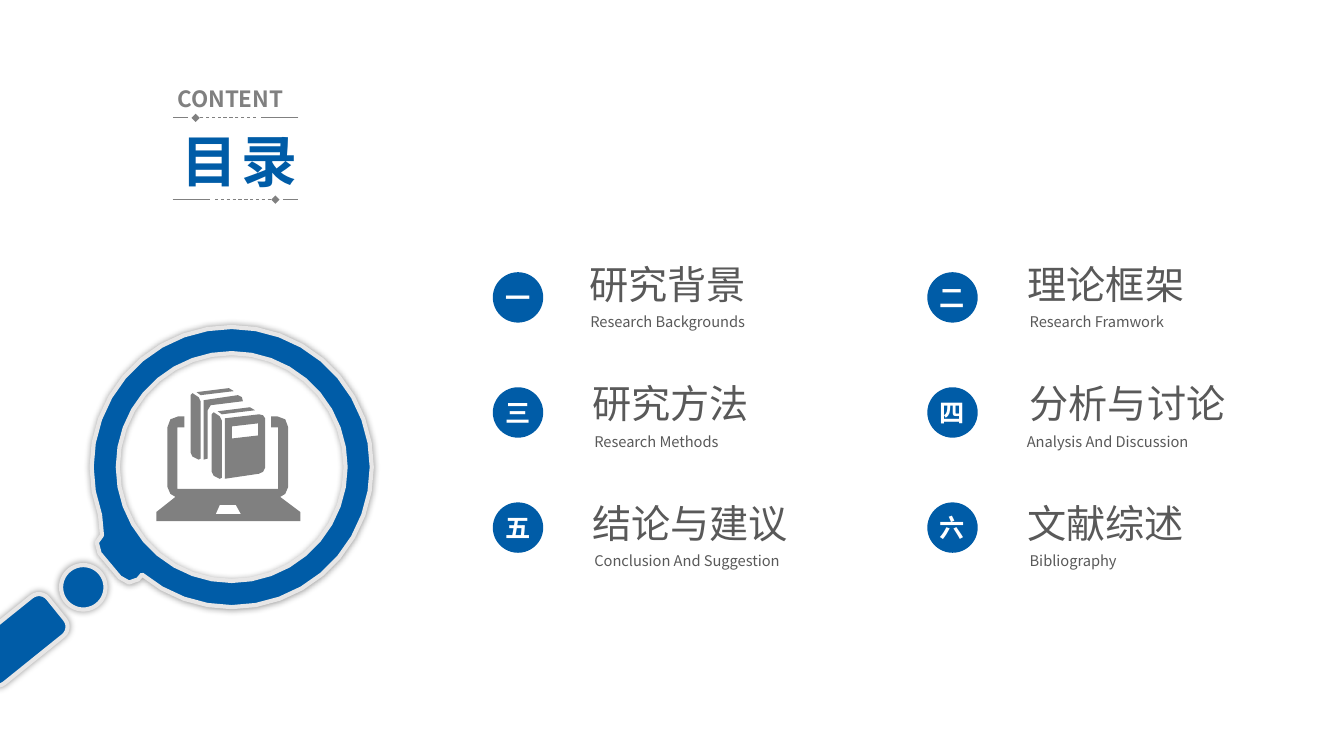
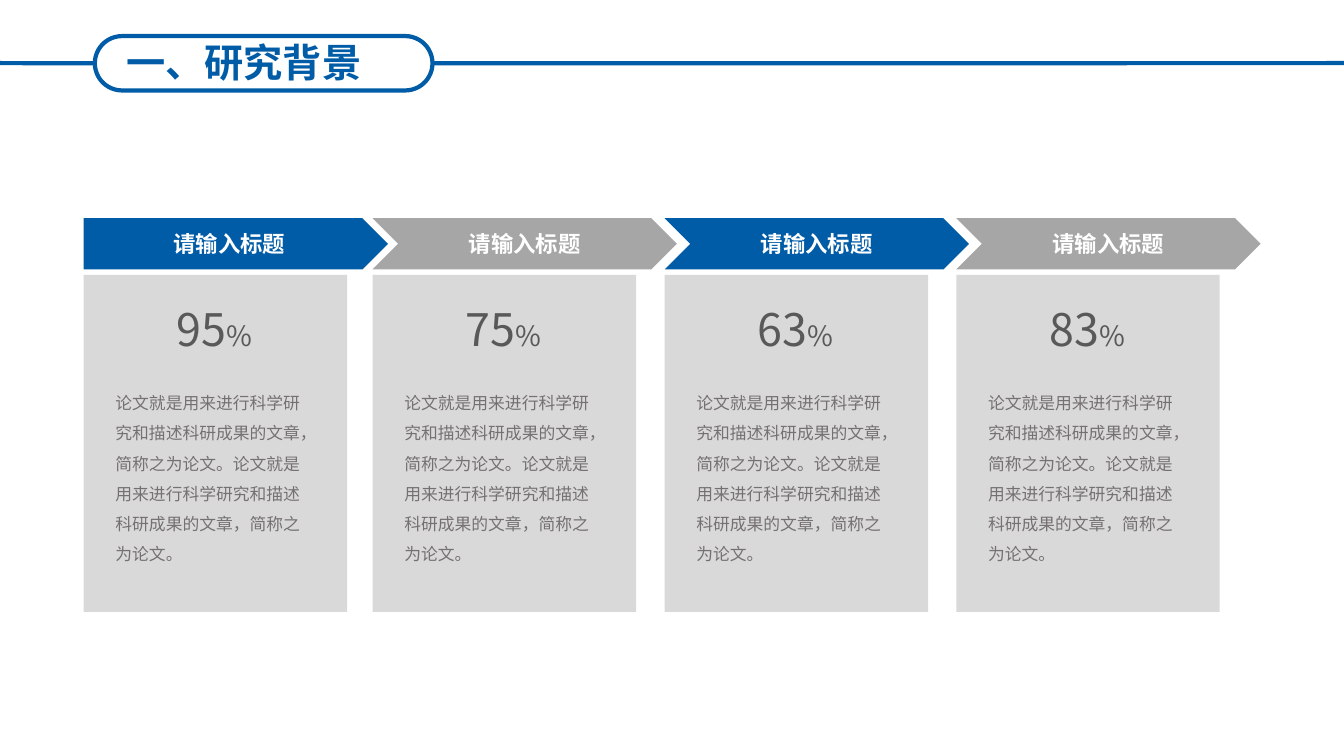
import math
from dataclasses import dataclass

import pptx
import pptx.dml.color
import pptx.enum.dml
import pptx.enum.shapes
import pptx.enum.text
import pptx.oxml
import pptx.oxml.ns
import pptx.util

Cm, Pt, qn = pptx.util.Cm, pptx.util.Pt, pptx.oxml.ns.qn
RGB = pptx.dml.color.RGBColor.from_string
MSO = pptx.enum.shapes.MSO_SHAPE
STRAIGHT = pptx.enum.shapes.MSO_CONNECTOR.STRAIGHT
ALIGN = pptx.enum.text.PP_ALIGN
ANCHOR = pptx.enum.text.MSO_ANCHOR
NS = pptx.oxml.ns.nsdecls("a")


@dataclass(frozen=True)
class Theme:
    font: str = "Noto Sans CJK SC"
    blue: str = "005CA7"
    gray: str = "808080"
    arrow_gray: str = "A6A6A6"
    card: str = "D9D9D9"
    rim: str = "E7E6E6"
    text: str = "595959"
    body: str = "767171"
    white: str = "FFFFFF"
    cover_title: float = 40
    title: float = 28
    number: float = 32
    percent: float = 20
    badge: float = 18
    label: float = 16
    copy: float = 12
    caption: float = 10.5


T = Theme()


def write(p, text, size, color, bold=False, align=ALIGN.LEFT):
    """Fill a paragraph and set its Latin and East Asian font."""
    p.add_run().text = text
    p.alignment = align
    p.font.name, p.font.size, p.font.bold = T.font, Pt(size), bold
    p.font.color.rgb = RGB(color)
    rpr = p._p.pPr.find(qn("a:defRPr"))
    rpr.append(pptx.oxml.parse_xml(f'<a:ea {NS} typeface="{T.font}"/>'))
    return rpr


def paint(sp, fill=None, line=None, width=0):
    """Give a shape or connector flat colours and no shadow."""
    if fill:
        sp.fill.solid()
        sp.fill.fore_color.rgb = RGB(fill)
    if line:
        sp.line.color.rgb = RGB(line)
        sp.line.width = Pt(width)
    else:
        sp.line.fill.background()
    sppr = sp._element.spPr
    if sppr.find(qn("a:effectLst")) is None:
        sppr.append(pptx.oxml.parse_xml(f"<a:effectLst {NS}/>"))
    return sp


prs = pptx.Presentation()
prs.slide_width, prs.slide_height = Cm(33.87), Cm(19.05)

# Both slides: title placeholder, moved and styled alike
titles = [
    ("目录", T.cover_title, (3.7, 3.05, 4.65, 1.96), 300),
    ("一、研究背景", T.title, (1.85, 0.84, 8.59, 1.45), 0),
]
slides = []
for text, size, box, spacing in titles:
    s = prs.slides.add_slide(prs.slide_layouts[5])
    sp = s.shapes.title
    sp.left, sp.top, sp.width, sp.height = map(Cm, box)
    tf = sp.text_frame
    tf.auto_size = pptx.enum.text.MSO_AUTO_SIZE.NONE
    tf.vertical_anchor = ANCHOR.TOP
    rpr = write(tf.paragraphs[0], text, size, T.blue, True, ALIGN.CENTER)
    rpr.set("spc", str(spacing))
    slides.append(s)
contents, background = slides

# Contents: heading and its ornamental rules
sp = contents.shapes.add_textbox(Cm(4.22), Cm(2.03), Cm(3.45), Cm(0.94))
sp.text_frame.word_wrap = True
write(sp.text_frame.paragraphs[0], "CONTENT", T.label, T.gray, True)

rule_left, rule_right = 4.35, 7.52
segments = [(0, 0.94, False), (1.07, 2.59, True), (2.78, 3.17, False)]
for y, mirrored in ((2.97, True), (5.03, False)):
    for start, end, dashed in segments:
        if mirrored:
            x1, x2 = rule_right - start, rule_right - end
        else:
            x1, x2 = rule_left + start, rule_left + end
        cx = contents.shapes.add_connector(STRAIGHT, Cm(x1), Cm(y), Cm(x2), Cm(y))
        paint(cx, line=T.gray, width=0.6)
        if dashed:
            cx.line.dash_style = pptx.enum.dml.MSO_LINE.DASH
            ln = cx._element.spPr.find(qn("a:ln"))
            ln.append(pptx.oxml.parse_xml(f'<a:tailEnd {NS} type="diamond"/>'))

# Contents: six numbered chapters, two per row, with the left of each text
chapters = [
    ("一", "研究背景", 14.6, "Research Backgrounds", 14.63),
    ("二", "理论框架", 25.65, "Research Framwork", 25.7),
    ("三", "研究方法", 14.67, "Research Methods", 14.73),
    ("四", "分析与讨论", 25.7, "Analysis And Discussion", 25.63),
    ("五", "结论与建议", 14.67, "Conclusion And Suggestion", 14.73),
    ("六", "文献综述", 25.64, "Bibliography", 25.7),
]
for i, (numeral, name, name_left, english, english_left) in enumerate(chapters):
    row, col = divmod(i, 2)
    sp = contents.shapes.add_shape(MSO.OVAL, Cm(12.42 + 10.95 * col),
                                   Cm(6.86 + 2.9 * row), Cm(1.27), Cm(1.27))
    paint(sp, fill=T.blue)
    tf = sp.text_frame
    tf.margin_left = tf.margin_right = tf.margin_top = tf.margin_bottom = 0
    tf.vertical_anchor = ANCHOR.MIDDLE
    write(tf.paragraphs[0], numeral, T.badge, T.white, True, ALIGN.CENTER)

    for text, size, left, top, width, height in (
            (name, T.title, name_left, 6.43, 0.5 + len(name), 1.45),
            (english, T.caption, english_left, 7.77, 5.46, 0.71)):
        sp = contents.shapes.add_textbox(Cm(left), Cm(top + 3.01 * row),
                                         Cm(width), Cm(height))
        sp.text_frame.word_wrap = True
        write(sp.text_frame.paragraphs[0], text, size, T.text)

# Contents: magnifier, a ring with collar, a ball and a handle
ring_x, ring_y, outer, inner = 5.84, 11.77, 3.53, 2.87
collar = [(2.57, 13.49), (2.44, 13.67), (2.51, 13.94), (3.02, 14.55),
          (3.25, 14.68), (3.48, 14.6), (3.58, 14.48)]
rim = [(ring_x + outer * math.cos(math.radians(a)),
        ring_y + outer * math.sin(math.radians(a))) for a in range(160, 490, 10)]
hole = [(ring_x + inner * math.cos(math.radians(a)),
         ring_y + inner * math.sin(math.radians(a))) for a in range(360, 0, -10)]
outline = [(Cm(x), Cm(y)) for x, y in rim + collar[::-1]]
lens = [(Cm(x), Cm(y)) for x, y in hole]
fb = contents.shapes.build_freeform(*outline[0])
fb.add_line_segments(outline[1:], close=True)
fb.move_to(*lens[0])
fb.add_line_segments(lens[1:], close=True)
ring = fb.convert_to_shape()

ball = contents.shapes.add_shape(MSO.OVAL, Cm(1.54), Cm(14.24), Cm(1.12), Cm(1.12))
handle = contents.shapes.add_shape(MSO.ROUNDED_RECTANGLE, Cm(-0.79), Cm(15.49),
                                   Cm(2.49), Cm(1.27))
handle.adjustments[0] = 0.23
handle.rotation = -38.8
for sp in (ring, ball, handle):
    paint(sp, fill=T.blue, line=T.rim, width=3)
    sp._element.spPr.find(qn("a:effectLst")).append(pptx.oxml.parse_xml(
        f'<a:outerShdw {NS} blurRad="{Pt(5)}" dist="0" dir="0">'
        '<a:srgbClr val="000000"><a:alpha val="40000"/></a:srgbClr></a:outerShdw>'))

# Contents: laptop with books, drawn on a grid 143 units wide
laptop = [(21, 39), (28, 39), (28, 28), (22, 28), (14, 31), (11, 39), (11, 98),
          (14, 105), (19, 108), (0, 123), (0, 132), (143, 132), (143, 123),
          (123, 108), (128, 105), (131, 98), (131, 39), (128, 31), (120, 28),
          (114, 28), (114, 39), (121, 39), (121, 100), (21, 100)]
touchpad = [(63, 116), (79, 116), (84, 125), (59, 125)]
book_top = [(40, 4), (44, 7), (77, 3), (72, 0)]
book_spine = [(36, 5), (42, 9), (44, 13), (44, 70), (42, 71), (36, 68), (34, 64),
              (34, 7)]
back_cover = [(47, 12), (81, 7), (85, 9), (86, 13), (54, 17), (51, 22), (51, 70),
              (47, 71)]
front_cover = [(68, 30), (102, 26), (106, 27), (108, 30), (108, 79), (106, 83),
               (102, 85), (68, 90)]
cover_label = [(75, 38), (101, 35), (101, 47), (75, 50)]
front_book = [[(x + 21, y + 19) for x, y in part] for part in (book_top, book_spine)]
fb = contents.shapes.build_freeform(*laptop[0], scale=Cm(3.63) / 143)
fb.add_line_segments(laptop[1:], close=True)
for part in [touchpad, book_top, book_spine, back_cover, *front_book,
             front_cover, cover_label]:
    fb.move_to(*part[0])
    fb.add_line_segments(part[1:], close=True)
paint(fb.convert_to_shape(Cm(3.94), Cm(9.78)), fill=T.gray)

# Background: title pill between two rules
pill = background.shapes.add_shape(MSO.ROUNDED_RECTANGLE, Cm(2.39), Cm(0.91),
                                   Cm(8.51), Cm(1.37))
pill.adjustments[0] = 0.5
pill.fill.background()
paint(pill, line=T.blue, width=3)
for site, end in ((1, 0), (3, prs.slide_width)):
    cx = background.shapes.add_connector(STRAIGHT, 0, Cm(1.59), end, Cm(1.59))
    cx.begin_connect(pill, site)
    paint(cx, line=T.blue, width=3)

# Background: four arrows, each with a card below
summary = "论文就是用来进行科学研究和描述科研成果的文章，简称之为论文。" * 2
cards = [(2.11, 95), (9.39, 75), (16.75, 63), (24.1, 83)]
for i, (x, value) in enumerate(cards):
    sp = background.shapes.add_shape(MSO.CHEVRON if i else MSO.PENTAGON, Cm(x),
                                     Cm(5.5), Cm(7.67), Cm(1.29))
    paint(sp, fill=T.arrow_gray if i % 2 else T.blue)
    tf = sp.text_frame
    tf.word_wrap = False
    tf.vertical_anchor = ANCHOR.MIDDLE
    write(tf.paragraphs[0], "请输入标题", T.label, T.white, True, ALIGN.CENTER)

    sp = background.shapes.add_shape(MSO.RECTANGLE, Cm(x), Cm(6.93), Cm(6.64), Cm(8.49))
    paint(sp, fill=T.card)

    sp = background.shapes.add_textbox(Cm(x + 2.1), Cm(7.47), Cm(2.49), Cm(1.63))
    sp.text_frame.word_wrap = True
    p = sp.text_frame.paragraphs[0]
    write(p, str(value), T.number, T.text)
    r = p.add_run()
    r.text = "%"
    r.font.size = Pt(T.percent)

    sp = background.shapes.add_textbox(Cm(x + 0.55), Cm(9.52), Cm(5.54), Cm(4.88))
    sp.text_frame.word_wrap = True
    p = sp.text_frame.paragraphs[0]
    p.line_spacing = 1.5
    write(p, summary, T.copy, T.body)

prs.save("out.pptx")
